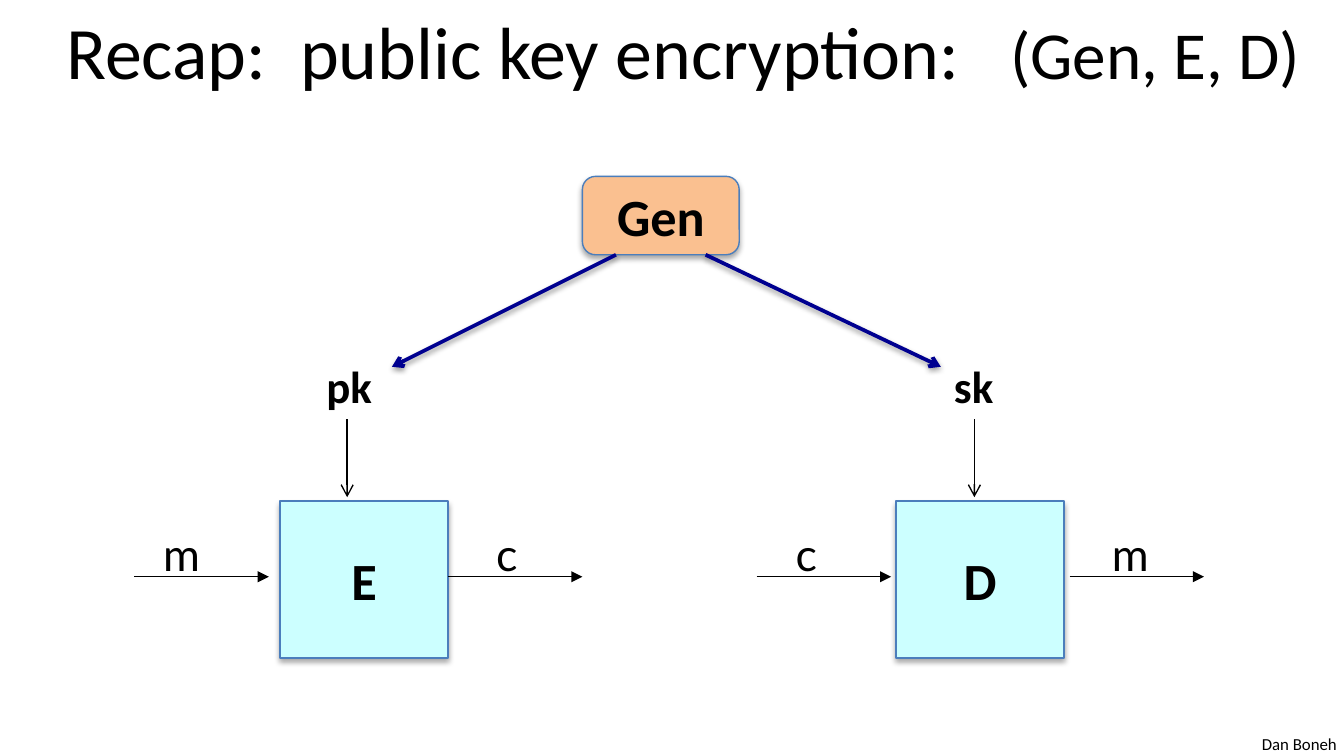
from lxml import etree
from pptx import Presentation
from pptx.dml.color import RGBColor
from pptx.enum import shapes, text
from pptx.oxml import parse_xml
from pptx.oxml.ns import nsdecls, qn
from pptx.util import Pt

SHADOW = (
    '<a:effectLst %s><a:outerShdw blurRad="%d" dist="%d" dir="5400000" rotWithShape="0">'
    '<a:srgbClr val="000000"><a:alpha val="%d"/></a:srgbClr></a:outerShdw></a:effectLst>'
)
rgb = RGBColor.from_string
CENTER, LEFT = text.PP_ALIGN.CENTER, text.PP_ALIGN.LEFT


def write(sp, runs, align=CENTER, **fmt):
    """Fill a shape with one paragraph; each run is (text, size, spacing)."""
    p = sp.text_frame.paragraphs[0]
    p.alignment = align
    for words, size, spacing in runs:
        r = p.add_run()
        r.text = words
        r.font.color.rgb = rgb("000000")
        for key, value in {"name": "Calibri", "size": Pt(size), **fmt}.items():
            setattr(r.font, key, value)
        if spacing:
            r.font._element.set("spc", str(spacing * 100))


def arrow(x1, y1, x2, y2, head, color="000000", width=0.75, shadow=False):
    c = s.shapes.add_connector(shapes.MSO_CONNECTOR.STRAIGHT, Pt(x1), Pt(y1), Pt(x2), Pt(y2))
    c.line.color.rgb = rgb(color)
    c.line.width = Pt(width)
    etree.SubElement(c.line._get_or_add_ln(), qn("a:tailEnd"), type=head)
    spPr = c._element.spPr
    if shadow:
        spPr.append(parse_xml(SHADOW % (nsdecls("a"), Pt(3.1), Pt(1.6), 38000)))
    else:
        etree.SubElement(spPr, qn("a:effectLst"))


prs = Presentation()
prs.slide_width, prs.slide_height = Pt(720), Pt(405)
s = prs.slides.add_slide(prs.slide_layouts[6])

# Title, with wider gaps after the colons
title = s.shapes.add_textbox(Pt(24), Pt(-7.2), Pt(684), Pt(67.5))
title.text_frame.word_wrap = True
title.text_frame.vertical_anchor = text.MSO_ANCHOR.MIDDLE
write(title, [("Recap:", 39.6, 0), (" ", 39.6, 9), ("public key encryption:", 39.6, 0),
              (" ", 39.6, 18), ("(Gen, E, D)", 36, 0)])

# Algorithm boxes
RECT, ROUND = shapes.MSO_SHAPE.RECTANGLE, shapes.MSO_SHAPE.ROUNDED_RECTANGLE
for label, kind, x, y, w, h, fill in [
    ("E", RECT, 150, 268.5, 90, 84, "CCFFFF"),
    ("D", RECT, 480, 268.5, 90, 84, "CCFFFF"),
    ("Gen", ROUND, 312, 94.5, 84, 42, "FAC090"),
]:
    sp = s.shapes.add_shape(kind, Pt(x), Pt(y), Pt(w), Pt(h))
    sp.fill.solid()
    sp.fill.fore_color.rgb = rgb(fill)
    sp.line.color.rgb = rgb("4B7EBC")
    sp.line.width = Pt(0.75)
    sp.shadow.inherit = False
    effects = sp._element.spPr.find(qn("a:effectLst"))
    effects.append(parse_xml(SHADOW % (nsdecls("a"), Pt(3.1), Pt(1.8), 35000))[0])
    sp.text_frame.vertical_anchor = text.MSO_ANCHOR.MIDDLE
    write(sp, [(label, 28, 0)], bold=True)

# Labels: keys, messages and author
key = {"align": LEFT, "bold": True}
message = {"name": "Lato"}
for label, x, y, w, h, size, fmt in [
    ("pk", 167.8, 188.6, 39, 36, 24, key),
    ("sk", 504, 188.6, 36, 36, 24, key),
    ("m", 80, 278.6, 34.5, 36, 24, message),
    ("c", 258.5, 278.6, 26, 36, 24, message),
    ("c", 419, 278.6, 26, 36, 24, message),
    ("m", 588.2, 278.6, 34.5, 36, 24, message),
    ("Dan Boneh", 668.9, 389.5, 54.7, 18, 9, {"align": LEFT}),
]:
    tb = s.shapes.add_textbox(Pt(x), Pt(y), Pt(w), Pt(h))
    tb.text_frame.word_wrap = False
    tb.text_frame.auto_size = text.MSO_AUTO_SIZE.SHAPE_TO_FIT_TEXT
    write(tb, [(label, size, 0)], **fmt)

# Message flow in and out of E and D
for x in (72, 240, 405.4, 573):
    arrow(x, 309, x + 72, 309, "triangle")

# Keys into E and D
for x in (186, 522):
    arrow(x, 224.6, x, 266.4, "arrow")

# Gen to the two keys
for x1, x2 in [(330, 210), (378, 504)]:
    arrow(x1, 136.5, x2, 196.5, "arrow", "000090", 2, shadow=True)

prs.save("out.pptx")
